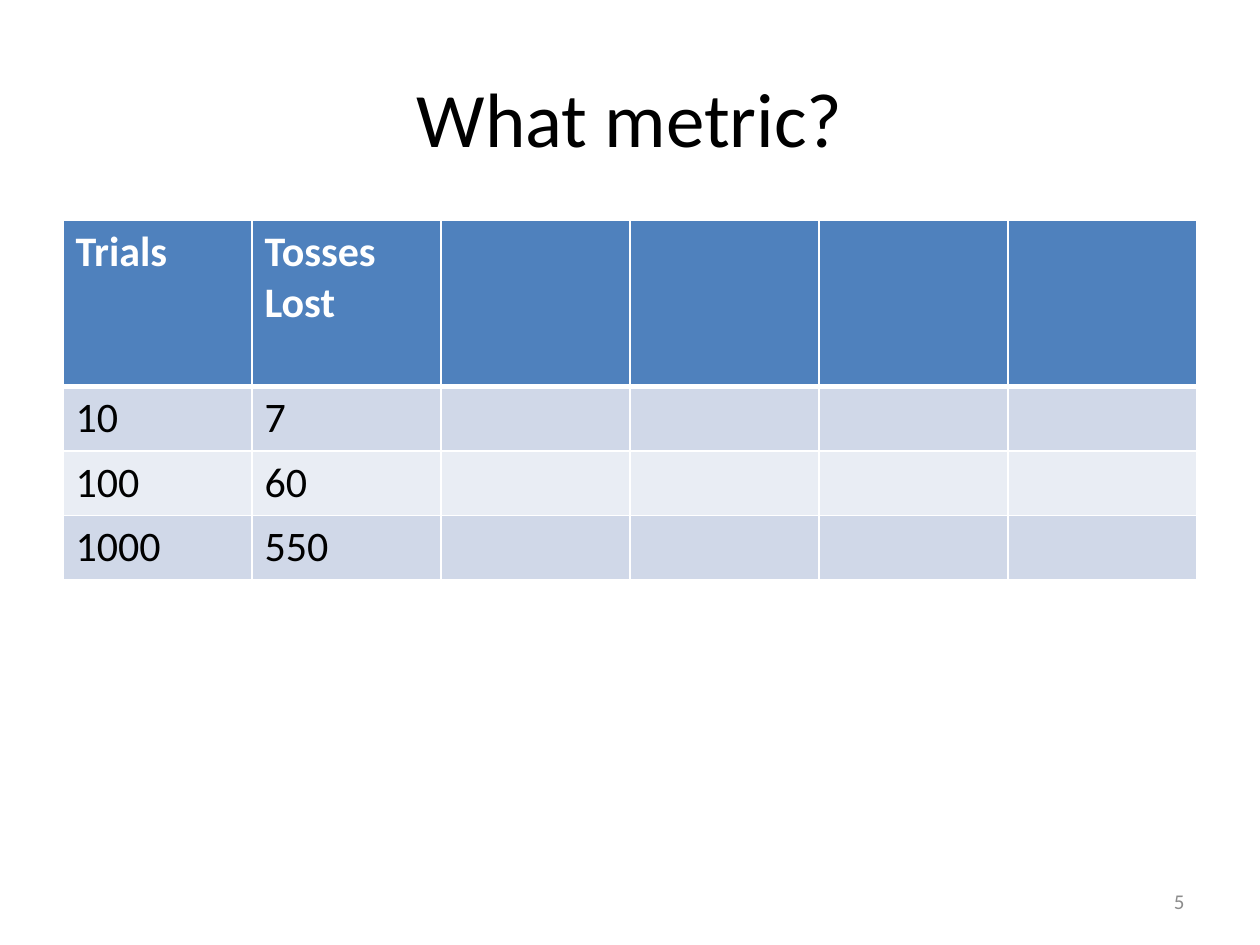
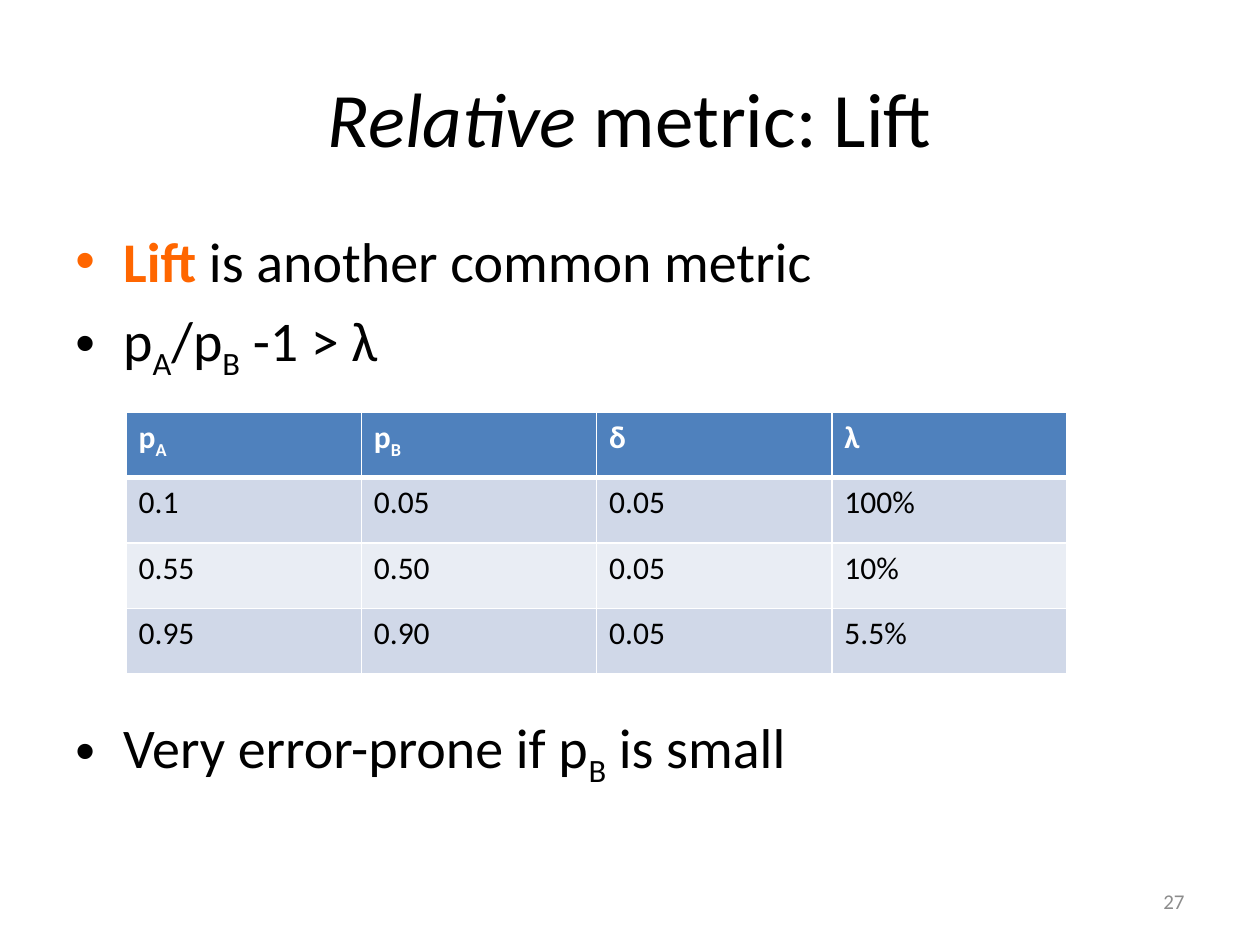
"""Builds two slides on metrics, each with a title, a table and a page number."""
from dataclasses import dataclass

from lxml.etree import SubElement
from pptx import Presentation
from pptx.dml.color import RGBColor
from pptx.enum.text import MSO_ANCHOR, PP_ALIGN
from pptx.oxml.ns import qn
from pptx.util import Inches, Pt


@dataclass(frozen=True)
class Theme:
    font: str = "Calibri"
    bullet_font: str = "Arial"
    ink: str = "000000"
    paper: str = "FFFFFF"
    accent: str = "FF6600"
    muted: str = "8C8C8C"
    header: str = "4F81BD"
    bands: tuple = ("D0D8E8", "E9EDF4")
    title_size: int = 44
    body_size: int = 32
    page_size: int = 12
    rule: int = 1
    header_rule: int = 3


THEME = Theme()
WIDTH, HEIGHT = Inches(10), Inches(7.5)

SUB = {"baseline": -25000}
ITALIC = {"italic": True}
KEYWORD = {"bold": True, "color": THEME.accent}

P_A = [("p", {}), ("A", SUB)]
P_B = [("p", {}), ("B", SUB)]

SLIDES = [
    {
        "title": "What metric?",
        "page": "5",
        "bullets": [],
        "table": {
            "rows": [["Trials", "Tosses Lost"], ["10", "7"], ["100", "60"], ["1000", "550"]],
            "columns": 6,
            "size": 24,
            "left": 0.05, "top": 1.75 / 7.5, "width": 0.9,
            "heights": [1.32, 0.51, 0.51, 0.51],
        },
    },
    {
        "title": [("Relative ", ITALIC), ("metric: Lift", {})],
        "page": "27",
        "bullets": [
            (6.4, [("Lift", KEYWORD), (" is another common metric", {})]),
            (6.4, [*P_A, ("/p", {}), ("B", SUB), (" -1 > λ", {})]),
            (189, [("Very error-prone if p", {}), ("B", SUB), (" is small", {})]),
        ],
        "table": {
            "rows": [
                [P_A, P_B, "δ", "λ"],
                ["0.1", "0.05", "0.05", "100%"],
                ["0.55", "0.50", "0.05", "10%"],
                ["0.95", "0.90", "0.05", "5.5%"],
            ],
            "columns": 4,
            "size": 18,
            "left": 0.1, "top": 3.27 / 7.5, "width": 0.747,
            "heights": [0.52] * 4,
        },
    },
]

TITLE = {
    "box": (0.05, 0.04, 0.9, 1 / 6),
    "frame": {"word_wrap": True, "vertical_anchor": MSO_ANCHOR.MIDDLE},
    "align": PP_ALIGN.CENTER,
    "font": {"size": THEME.title_size, "color": THEME.ink},
}
BODY = {
    "box": (0.05, 1.75 / 7.5, 0.9, 0.66),
    "frame": {"word_wrap": True, "vertical_anchor": MSO_ANCHOR.TOP},
    "align": PP_ALIGN.LEFT,
    "font": {"size": THEME.body_size, "color": THEME.ink},
}
PAGE = {
    "box": (0.717, 6.95 / 7.5, 0.233, 0.4 / 7.5),
    "frame": {"word_wrap": True, "vertical_anchor": MSO_ANCHOR.MIDDLE},
    "align": PP_ALIGN.RIGHT,
    "font": {"size": THEME.page_size, "color": THEME.muted},
}


def write(paragraph, content, base):
    pieces = [(content, {})] if isinstance(content, str) else content
    for words, style in pieces:
        look = {"name": THEME.font, "bold": False, "italic": False, **base, **style}
        run = paragraph.add_run()
        run.text = words
        run.font.color.rgb = RGBColor.from_string(look.pop("color"))
        look["size"] = Pt(look["size"])
        if "baseline" in look:
            run._r.get_or_add_rPr().set("baseline", str(look.pop("baseline")))
        for name, value in look.items():
            setattr(run.font, name, value)


def add_text(slide, role, paragraphs):
    left, top, width, height = role["box"]
    area = slide.shapes.add_textbox(
        int(left * WIDTH), int(top * HEIGHT), int(width * WIDTH), int(height * HEIGHT)
    )
    frame = area.text_frame
    for name, value in role["frame"].items():
        setattr(frame, name, value)
    for index, content in enumerate(paragraphs):
        paragraph = frame.add_paragraph() if index else frame.paragraphs[0]
        paragraph.alignment = role["align"]
        write(paragraph, content, role["font"])
    return frame.paragraphs


def add_bullets(slide, bullets):
    paragraphs = add_text(slide, BODY, [content for _, content in bullets])
    for paragraph, (gap, _) in zip(paragraphs, bullets):
        paragraph.space_before = Pt(gap)
        properties = paragraph._p.get_or_add_pPr()
        properties.set("marL", str(Inches(0.38)))
        properties.set("indent", str(-Inches(0.38)))
        SubElement(properties, qn("a:buFont"), typeface=THEME.bullet_font)
        SubElement(properties, qn("a:buChar"), char="•")


def add_borders(cell, weights):
    properties = cell._tc.get_or_add_tcPr()
    for side, weight in weights.items():
        line = SubElement(properties, qn(f"a:ln{side}"), w=str(Pt(weight)))
        SubElement(SubElement(line, qn("a:solidFill")), qn("a:srgbClr"), val=THEME.paper)


def add_grid(slide, table):
    rows, columns, heights = table["rows"], table["columns"], table["heights"]
    width = int(table["width"] * WIDTH)
    grid = slide.shapes.add_table(
        len(rows), columns, int(table["left"] * WIDTH), int(table["top"] * HEIGHT),
        width, Inches(sum(heights)),
    ).table
    for column in grid.columns:
        column.width = width // columns
    for index, (entries, height) in enumerate(zip(rows, heights)):
        grid.rows[index].height = Inches(height)
        heading = index == 0
        fill = THEME.header if heading else THEME.bands[(index - 1) % 2]
        font = {
            "size": table["size"],
            "bold": heading,
            "color": THEME.paper if heading else THEME.ink,
        }
        weights = dict.fromkeys("LRTB", THEME.rule)
        if heading:
            weights["B"] = THEME.header_rule
        elif index == 1:
            weights["T"] = THEME.header_rule
        for position in range(columns):
            cell = grid.cell(index, position)
            add_borders(cell, weights)
            cell.fill.solid()
            cell.fill.fore_color.rgb = RGBColor.from_string(fill)
            if position < len(entries):
                write(cell.text_frame.paragraphs[0], entries[position], font)


def build():
    deck = Presentation()
    deck.slide_width, deck.slide_height = WIDTH, HEIGHT
    for content in SLIDES:
        slide = deck.slides.add_slide(deck.slide_layouts[6])
        add_text(slide, TITLE, [content["title"]])
        if content["bullets"]:
            add_bullets(slide, content["bullets"])
        add_grid(slide, content["table"])
        add_text(slide, PAGE, [content["page"]])
    deck.save("out.pptx")


build()
